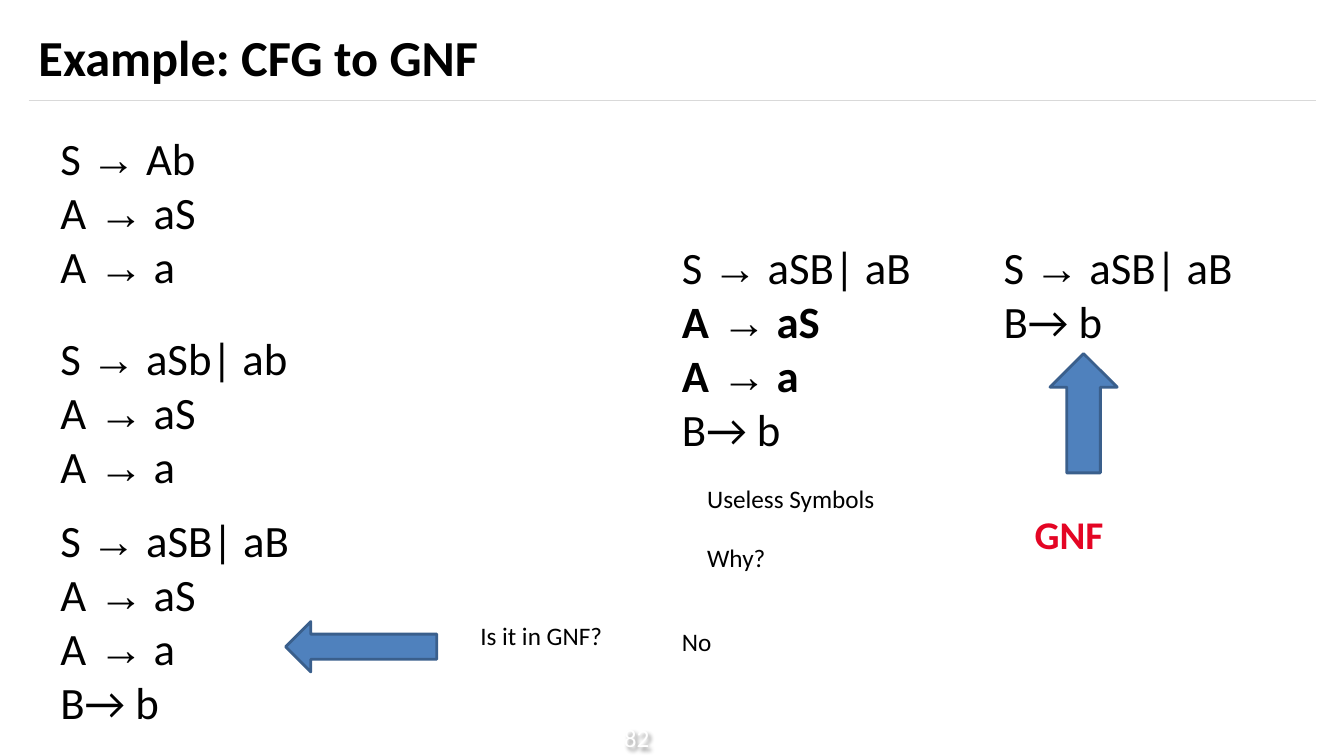
from dataclasses import dataclass

from lxml import etree
from pptx import Presentation
from pptx.dml.color import RGBColor
from pptx.enum.shapes import MSO_CONNECTOR, MSO_SHAPE
from pptx.enum.text import MSO_ANCHOR, MSO_AUTO_SIZE, PP_ALIGN
from pptx.oxml import parse_xml
from pptx.oxml.ns import qn
from pptx.util import Inches, Pt

LEFT_ARROW, UP_ARROW = MSO_SHAPE.LEFT_ARROW, MSO_SHAPE.UP_ARROW
STRAIGHT = MSO_CONNECTOR.STRAIGHT
TOP, MIDDLE = MSO_ANCHOR.TOP, MSO_ANCHOR.MIDDLE
LEFT, CENTER = PP_ALIGN.LEFT, PP_ALIGN.CENTER
FIXED, GROW = MSO_AUTO_SIZE.NONE, MSO_AUTO_SIZE.SHAPE_TO_FIT_TEXT
COLUMNS, ROWS = 160, 90
WIDTH, HEIGHT = Inches(13.333), Inches(7.5)
SHADOW = (
    '<a:effectLst xmlns:a="http://schemas.openxmlformats.org/drawingml/2006/main">'
    '<a:outerShdw blurRad="38100" dist="38100" dir="2700000" algn="tl">'
    '<a:srgbClr val="000000"><a:alpha val="43000"/></a:srgbClr>'
    '</a:outerShdw></a:effectLst>'
)


@dataclass(frozen=True)
class Theme:
    """Fonts, colours and type sizes of the slide."""
    body: str = "Calibri"
    symbol: str = "Arial"
    ink: str = "000000"
    paper: str = "FFFFFF"
    accent: str = "E40524"
    rule: str = "D9D9D9"
    arrow: str = "4F81BD"
    arrow_edge: str = "3A5F8C"
    title: int = 36
    grammar: int = 32
    verdict: int = 28
    note: int = 18


@dataclass(frozen=True)
class Box:
    """A place on the grid, in columns and rows."""
    col: float
    row: float
    cols: float
    rows: float

    def emu(self) -> tuple[int, int, int, int]:
        """Return left, top, width and height in slide units."""
        return (x(self.col), y(self.row), x(self.cols), y(self.rows))


@dataclass(frozen=True)
class Production:
    """Pieces of one grammar rule, alternating body and symbol fonts."""
    pieces: tuple[str, ...]
    bold: bool = False


@dataclass(frozen=True)
class Grammar:
    """A set of productions at a place."""
    box: Box
    productions: tuple[Production, ...]


@dataclass(frozen=True)
class Note:
    """A short remark at a place."""
    box: Box
    text: str


@dataclass(frozen=True)
class Arrow:
    """A block arrow at a place."""
    box: Box
    kind: MSO_SHAPE


THEME = Theme()


def x(cols: float) -> int:
    """Convert columns to slide units."""
    return round(WIDTH * cols / COLUMNS)


def y(rows: float) -> int:
    """Convert rows to slide units."""
    return round(HEIGHT * rows / ROWS)


def rgb(value: str) -> RGBColor:
    """Turn a hex string into a colour."""
    return RGBColor.from_string(value)


def add_text(s, box: Box, lines: tuple[Production, ...], *, size: int,
             color: str = THEME.ink, anchor=TOP, align=LEFT, fit=FIXED,
             wrap: bool = True, shadow: bool = False) -> None:
    """Add a text box with one paragraph per line."""
    sp = s.shapes.add_textbox(*box.emu())
    if shadow:
        sp._element.spPr.append(parse_xml(SHADOW))
    tf = sp.text_frame
    tf.word_wrap = wrap
    tf.auto_size = fit
    tf.vertical_anchor = anchor
    for i, line in enumerate(lines):
        p = tf.paragraphs[0] if i == 0 else tf.add_paragraph()
        p.alignment = align
        for j, piece in enumerate(line.pieces):
            r = p.add_run()
            r.text = piece
            r.font.name = THEME.symbol if j % 2 else THEME.body
            r.font.size = Pt(size)
            r.font.bold = line.bold
            r.font.color.rgb = rgb(color)


def add_arrow(s, arrow: Arrow) -> None:
    """Add a filled block arrow."""
    sp = s.shapes.add_shape(arrow.kind, *arrow.box.emu())
    sp.shadow.inherit = False
    sp.fill.solid()
    sp.fill.fore_color.rgb = rgb(THEME.arrow)
    sp.line.color.rgb = rgb(THEME.arrow_edge)
    sp.line.width = Pt(2)


def add_rule(s, start: float, end: float, row: float) -> None:
    """Add a thin horizontal line."""
    line = s.shapes.add_connector(STRAIGHT, x(start), y(row), x(end), y(row))
    line.line.color.rgb = rgb(THEME.rule)
    line.line.width = Pt(0.75)
    etree.SubElement(line._element.spPr, qn("a:effectLst"))


def plain(text: str, bold: bool = False) -> tuple[Production, ...]:
    """Wrap plain text as a single line."""
    return (Production((text,), bold),)


def start(body: str) -> Production:
    """Return a rule for the start symbol S."""
    return Production(("S ", "→", f" {body}"))


def a_rules(bold: bool = False) -> tuple[Production, ...]:
    """Return the two rules for A."""
    return tuple(Production(("A", " →", f" {body}"), bold)
                 for body in ("aS", "a"))


B_RULE = Production(("B→ b",))
GNF_START = start("aSB| aB")

GRAMMARS = (
    Grammar(Box(6, 15, 18.7, 20.6), (start("Ab"), *a_rules())),
    Grammar(Box(6, 38.8, 29.8, 20.6), (start("aSb| ab"), *a_rules())),
    Grammar(Box(6, 60.5, 29.9, 27.1), (GNF_START, *a_rules(), B_RULE)),
    Grammar(Box(80, 28, 29.9, 27.1), (GNF_START, *a_rules(True), B_RULE)),
    Grammar(Box(118.3, 28, 29.9, 14.2), (GNF_START, B_RULE)),
)
NOTES = (
    Note(Box(56, 73.2, 20, 4.8), "Is it in GNF?"),
    Note(Box(80, 74, 20, 4.8), "No"),
    Note(Box(83, 64, 20, 4.8), "Why?"),
    Note(Box(83, 57, 26, 4.8), "Useless Symbols"),
)
ARROWS = (
    Arrow(Box(34, 74, 18, 6), LEFT_ARROW),
    Arrow(Box(125, 42.1, 8, 14.2), UP_ARROW),
)


def main() -> None:
    """Build and save the slide."""
    prs = Presentation()
    prs.slide_width, prs.slide_height = WIDTH, HEIGHT
    s = prs.slides.add_slide(prs.slide_layouts[6])
    add_rule(s, 3.4, 156.7, 12)
    add_text(s, Box(70.3, 85.4, 11, 4.8), plain("82"), size=THEME.note,
             color=THEME.paper, anchor=MIDDLE, align=CENTER, shadow=True)
    add_text(s, Box(3.4, 1.4, 153.3, 10.6), plain("Example: CFG to GNF", True),
             size=THEME.title, anchor=MIDDLE)
    for grammar in GRAMMARS:
        add_text(s, grammar.box, grammar.productions,
                 size=THEME.grammar, fit=GROW, wrap=False)
    for note in NOTES:
        add_text(s, note.box, plain(note.text), size=THEME.note, fit=GROW)
    add_text(s, Box(122, 60.1, 20, 6.8), plain("GNF", True),
             size=THEME.verdict, color=THEME.accent, fit=GROW)
    for arrow in ARROWS:
        add_arrow(s, arrow)
    prs.save("out.pptx")


main()
